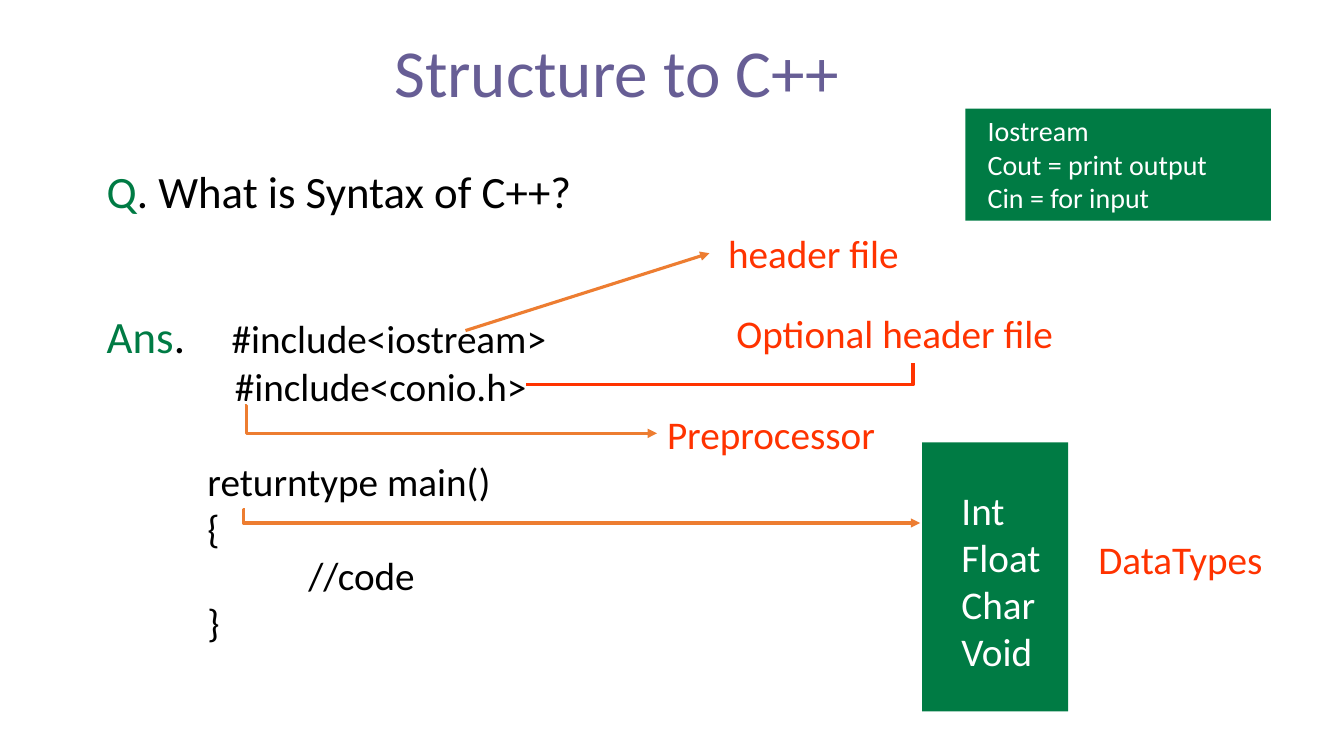
from lxml import etree
from pptx import Presentation
from pptx import util as u
from pptx.dml.color import RGBColor
from pptx.enum import shapes, text
from pptx.oxml import ns

PURPLE = RGBColor(0x67, 0x5E, 0x95)
GREEN = RGBColor(0x00, 0x7B, 0x44)
RED = RGBColor(0xFF, 0x33, 0x00)
ORANGE = RGBColor(0xED, 0x7D, 0x31)
BLACK = RGBColor(0, 0, 0)
WHITE = RGBColor(0xFF, 0xFF, 0xFF)
FONT = "Calibri"

# Content: places are left, top, width, height in centimetres
TITLE = ("Structure to C++", (9.68, 0.64, 17.27, 2.31))

PANELS = [(23.24, 11.15, 3.68, 6.78), (24.33, 2.74, 7.7, 2.82)]

QUESTION = ((2.44, 4.01, 13.74, 1.63),
            [("Q", 32, GREEN), (". What is Syntax of C++?", 32, BLACK)])

ANSWER_PLACE = (2.44, 7.65, 11.94, 8.81)
ANSWER_START = [("Ans", 32, GREEN), (".\t", 32, BLACK),
                ("#include<iostream>", 28, BLACK)]
ANSWER_INDENT = 3.15
CODE = [  # text, indent in cm, space before in points
    ("#include<conio.h>", 3.23, 0),
    ("returntype main()", 2.54, 34),
    ("{", 2.54, 0),
    ("//code", 5.08, 0),
    ("}", 2.54, 0),
]

NOTES = [  # lines, place, size, colour
    (["header file"], (18.1, 5.66, 5.6, 1.45), 28, RED),
    (["Preprocessor"], (16.56, 10.21, 6.15, 1.45), 28, RED),
    (["DataTypes"], (27.43, 13.36, 5.82, 1.45), 28, RED),
    (["Optional header file"], (18.31, 7.67, 9.35, 1.45), 28, RED),
    (["Int", "Float", "Char", "Void"], (23.98, 12.12, 3.86, 6.25), 28, WHITE),
    (["Iostream", "Cout = print output", "Cin = for input"],
     (24.64, 2.74, 7.09, 2.82), 20, WHITE),
]

ARROWS = [  # preset, from and to, bend, colour, arrowhead
    ("line", (11.73, 8.33, 17.88, 6.38), None, ORANGE, True),
    ("bentConnector3", (6.17, 10.21, 16.56, 10.92), 400, ORANGE, True),
    ("bentConnector3", (6.17, 12.83, 23.19, 13.18), -200, ORANGE, True),
    ("bentConnector2", (13.26, 9.7, 23.01, 9.14), None, RED, False),
]


def lengths(place):
    return [u.Cm(value) for value in place]


def add_runs(para, runs):
    for words, size, color in runs:
        span = para.add_run()
        span.text = words
        for name, value in {"name": FONT, "size": u.Pt(size)}.items():
            setattr(span.font, name, value)
        span.font.color.rgb = color


def add_lines(slide, place, lines):
    frame = slide.shapes.add_textbox(*lengths(place)).text_frame
    frame.word_wrap = True
    for number, runs in enumerate(lines):
        para = frame.add_paragraph() if number else frame.paragraphs[0]
        add_runs(para, runs)
    return frame.paragraphs


def indent(para, margin, first=0):
    props = para._p.get_or_add_pPr()
    props.set("marL", str(u.Cm(margin)))
    props.set("indent", str(u.Cm(first)))


def add_arrow(slide, preset, ends, bend, color, head):
    kind = shapes.MSO_CONNECTOR.STRAIGHT if preset == "line" else shapes.MSO_CONNECTOR.ELBOW
    arrow = slide.shapes.add_connector(kind, *lengths(ends))
    arrow.line.color.rgb = color
    arrow.line.width = u.Pt(2.25)
    props = arrow._element.spPr
    geometry = props.find(ns.qn("a:prstGeom"))
    geometry.set("prst", preset)
    if bend is not None:
        guides = geometry.find(ns.qn("a:avLst"))
        if guides is None:
            guides = etree.SubElement(geometry, ns.qn("a:avLst"))
        etree.SubElement(guides, ns.qn("a:gd"), name="adj1", fmla=f"val {bend}")
    if head:
        etree.SubElement(arrow.line._get_or_add_ln(), ns.qn("a:tailEnd"), type="triangle")
    etree.SubElement(props, ns.qn("a:effectLst"))


def main():
    deck = Presentation()
    deck.slide_width, deck.slide_height = u.Cm(33.87), u.Cm(19.05)
    page = deck.slides.add_slide(deck.slide_layouts[5])

    # Title
    words, place = TITLE
    title = page.shapes.title
    for name, value in zip(("left", "top", "width", "height"), lengths(place)):
        setattr(title, name, value)
    frame_format = {"word_wrap": True, "auto_size": text.MSO_AUTO_SIZE.NONE,
                    "vertical_anchor": text.MSO_ANCHOR.TOP}
    for name, value in frame_format.items():
        setattr(title.text_frame, name, value)
    heading = title.text_frame.paragraphs[0]
    heading.alignment = text.PP_ALIGN.LEFT
    add_runs(heading, [(words, 48, PURPLE)])

    # Green panels
    for place in PANELS:
        panel = page.shapes.add_shape(shapes.MSO_SHAPE.RECTANGLE, *lengths(place))
        panel.shadow.inherit = False
        panel.fill.solid()
        panel.fill.fore_color.rgb = GREEN
        panel.line.fill.background()

    # Question and answer
    place, runs = QUESTION
    add_lines(page, place, [runs])
    code_lines = [[(line, 28, BLACK)] for line, _, _ in CODE]
    paras = add_lines(page, ANSWER_PLACE, [ANSWER_START] + code_lines)
    indent(paras[0], ANSWER_INDENT, -ANSWER_INDENT)
    for para, (_, margin, gap) in zip(paras[1:], CODE):
        indent(para, margin)
        para.space_before = u.Pt(gap)

    # Notes and the lines that lead to them
    for lines, place, size, color in NOTES:
        add_lines(page, place, [[(line, size, color)] for line in lines])
    for arrow in ARROWS:
        add_arrow(page, *arrow)

    deck.save("out.pptx")


if __name__ == "__main__":
    main()
